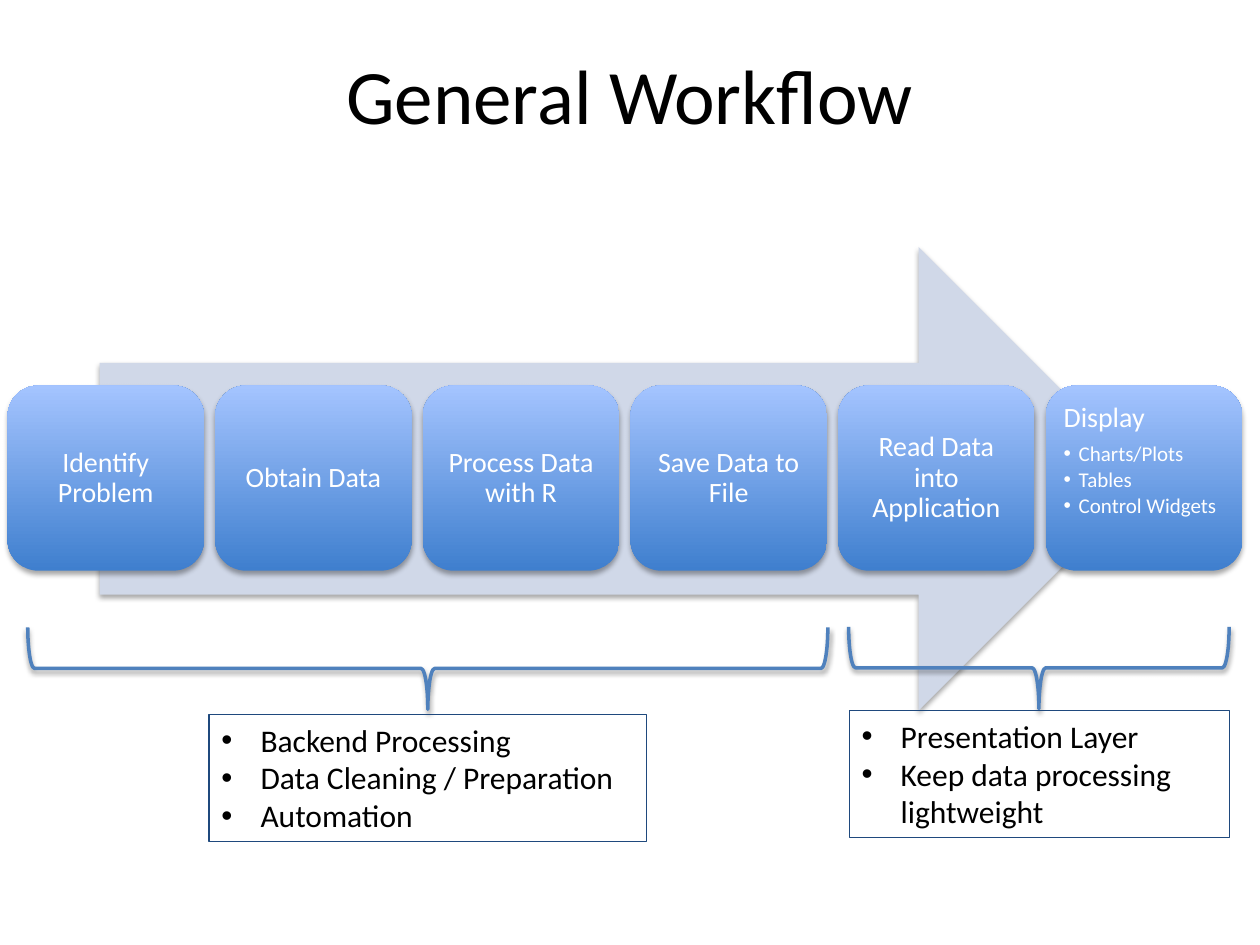
import pptx
import pptx.dml.color
import pptx.enum.dml
import pptx.enum.shapes
import pptx.enum.text
import pptx.oxml
import pptx.oxml.ns
import pptx.util

Inches = pptx.util.Inches
Pt = pptx.util.Pt
RGBColor = pptx.dml.color.RGBColor
SHAPE = pptx.enum.shapes.MSO_SHAPE
ALIGN = pptx.enum.text.PP_ALIGN
ANCHOR = pptx.enum.text.MSO_ANCHOR

BLACK = RGBColor(0x00, 0x00, 0x00)
WHITE = RGBColor(0xFF, 0xFF, 0xFF)
ARROW_BLUE = RGBColor(0xD0, 0xD8, 0xE8)
STEP_DARK = RGBColor(0x3F, 0x7F, 0xCE)
STEP_LIGHT = RGBColor(0xA4, 0xC4, 0xFF)
BRACE_BLUE = RGBColor(0x4F, 0x81, 0xBD)
NOTE_BORDER = RGBColor(0x1F, 0x49, 0x7D)


def add_shadowed_shape(kind, left, top, width, height, opacity, distance):
    """Add a preset shape with a soft black shadow below it."""
    shape = slide.shapes.add_shape(
        kind, Inches(left), Inches(top), Inches(width), Inches(height))
    shape.shadow.inherit = False
    effects = shape._element.spPr.find(pptx.oxml.ns.qn("a:effectLst"))
    effects.append(pptx.oxml.parse_xml(
        f'<a:outerShdw {pptx.oxml.ns.nsdecls("a")} blurRad="{Pt(3.1)}" '
        f'dist="{Pt(distance)}" dir="5400000" rotWithShape="0">'
        f'<a:srgbClr val="000000"><a:alpha val="{opacity * 1000}"/></a:srgbClr>'
        '</a:outerShdw>'))
    return shape


def write_paragraph(text_frame, index, text, size, color, indent=0, **formats):
    """Write one paragraph, bulleted when it has a hanging indent."""
    paragraph = text_frame.add_paragraph() if index else text_frame.paragraphs[0]
    run = paragraph.add_run()
    run.text = text
    run.font.name = "Calibri"
    run.font.size = Pt(size)
    run.font.color.rgb = color
    for name, value in formats.items():
        setattr(paragraph, name, value)
    if indent:
        properties = paragraph._p.get_or_add_pPr()
        properties.set("marL", str(Inches(indent)))
        properties.set("indent", str(-Inches(indent)))
        for tag in ('buFont typeface="Arial"', 'buChar char="•"'):
            properties.append(pptx.oxml.parse_xml(
                f'<a:{tag} {pptx.oxml.ns.nsdecls("a")}/>'))


presentation = pptx.Presentation()
presentation.slide_width = Inches(10)
presentation.slide_height = Inches(7.5)
slide = presentation.slides.add_slide(presentation.slide_layouts[5])

title = slide.shapes.title
title.left, title.top = Inches(0.5), Inches(0.12)
title.width, title.height = Inches(9), Inches(1.25)
title.text_frame.vertical_anchor = ANCHOR.MIDDLE
write_paragraph(title.text_frame, 0, "General Workflow", 44, BLACK,
                alignment=ALIGN.CENTER)

arrow = add_shadowed_shape(SHAPE.RIGHT_ARROW, 0.79, 1.96, 8.34, 3.68, 35, 1.8)
arrow.fill.solid()
arrow.fill.fore_color.rgb = ARROW_BLUE
arrow.line.fill.background()

# Each step has a heading and optional details
steps = [
    ("Identify Problem", []),
    ("Obtain Data", []),
    ("Process Data with R", []),
    ("Save Data to File", []),
    ("Read Data into Application", []),
    ("Display", ["Charts/Plots", "Tables", "Control Widgets"]),
]
STEP_PITCH = 1.648
for column, (heading, details) in enumerate(steps):
    step = add_shadowed_shape(SHAPE.ROUNDED_RECTANGLE, 0.06 + column * STEP_PITCH,
                              3.06, 1.56, 1.47, 35, 1.8)
    step.line.fill.background()
    step.fill.gradient()
    step.fill.gradient_angle = 90
    for stop, color in zip(step.fill.gradient_stops, (STEP_DARK, STEP_LIGHT)):
        stop.color.rgb = color

    frame = step.text_frame
    frame_format = {
        "word_wrap": True,
        "vertical_anchor": ANCHOR.TOP if details else ANCHOR.MIDDLE,
        **{f"margin_{side}": Inches(0.07)
           for side in ("left", "top", "right", "bottom")},
    }
    for name, value in frame_format.items():
        setattr(frame, name, value)
    write_paragraph(frame, 0, heading, 16, WHITE, line_spacing=0.9,
                    space_after=Pt(5.6),
                    alignment=ALIGN.LEFT if details else ALIGN.CENTER)
    for index, detail in enumerate(details, start=1):
        write_paragraph(frame, index, detail, 12, WHITE, indent=0.12, level=1,
                        line_spacing=0.9, space_after=Pt(1.8),
                        alignment=ALIGN.LEFT)

# Turned a quarter, each brace spans its height and points down
for left, top, span in ((3.07, 2.13, 6.35), (7.92, 3.79, 3.02)):
    brace = add_shadowed_shape(SHAPE.RIGHT_BRACE, left, top, 0.65, span, 38, 1.6)
    brace.rotation = 90
    brace.fill.background()
    brace.line.color.rgb = BRACE_BLUE
    brace.line.width = Pt(2)

notes = [
    (1.66, 5.67, 3.47,
     ["Backend Processing", "Data Cleaning / Preparation", "Automation"]),
    (6.74, 5.64, 3.02,
     ["Presentation Layer", "Keep data processing lightweight"]),
]
for left, top, width, points in notes:
    note = slide.shapes.add_textbox(
        Inches(left), Inches(top), Inches(width), Inches(1.01))
    note.line.color.rgb = NOTE_BORDER
    note.line.width = Pt(0.75)
    note.text_frame.word_wrap = True
    note.text_frame.auto_size = pptx.enum.text.MSO_AUTO_SIZE.SHAPE_TO_FIT_TEXT
    for index, point in enumerate(points):
        write_paragraph(note.text_frame, index, point, 18, BLACK, indent=0.31)

presentation.save("out.pptx")
